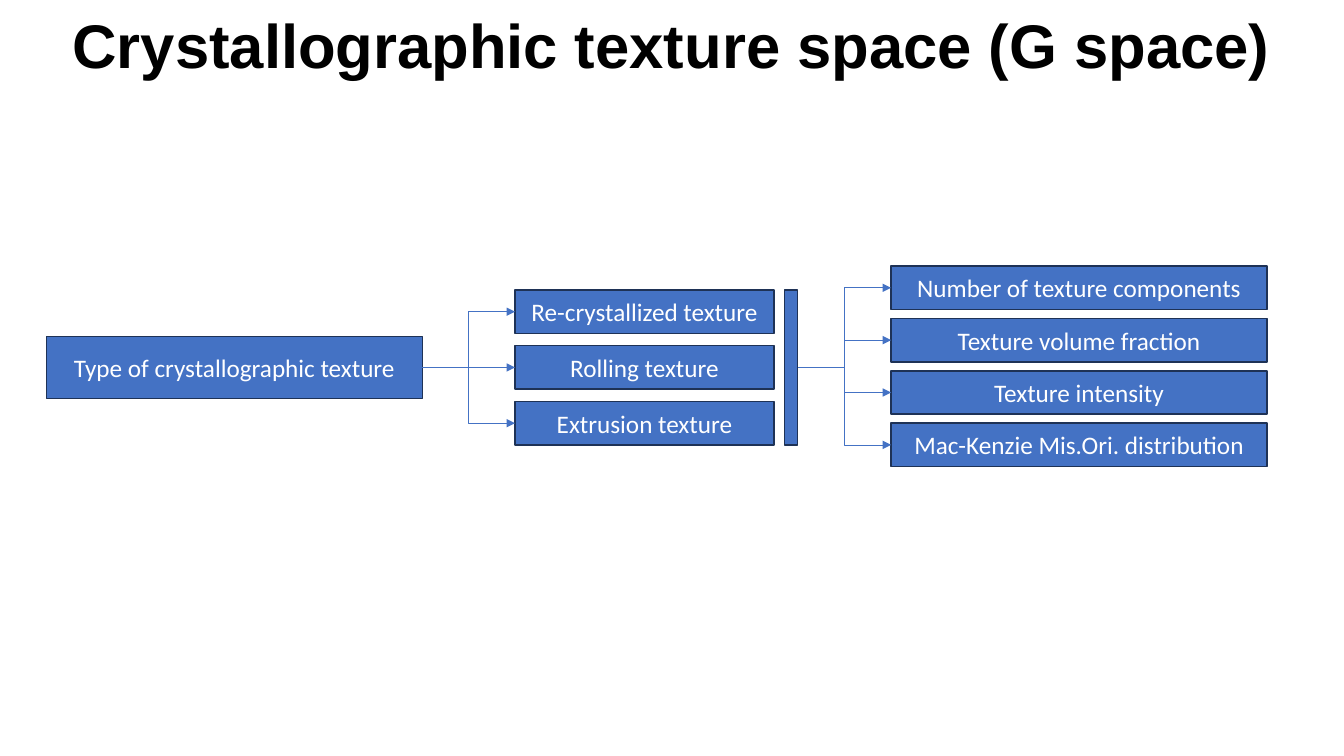
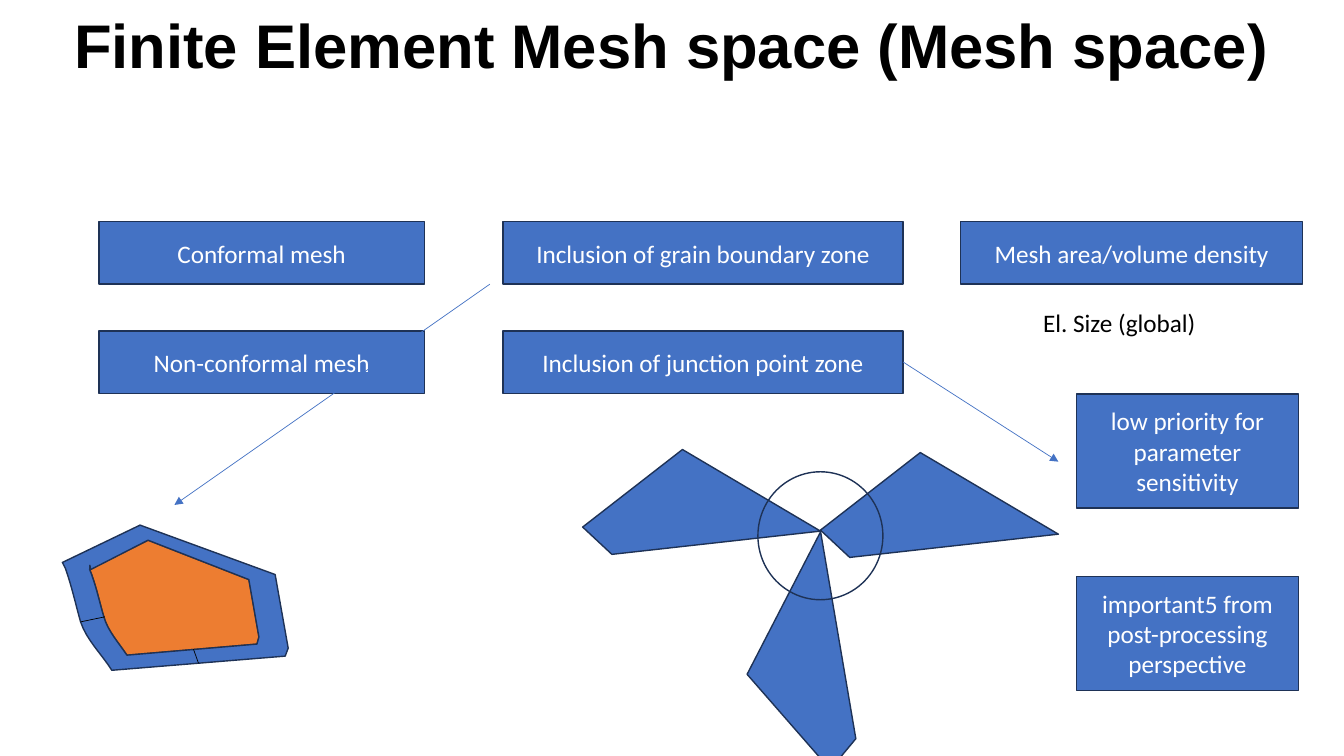
from dataclasses import dataclass
from typing import NamedTuple

from lxml.etree import SubElement
from pptx import Presentation
from pptx.dml.color import RGBColor
from pptx.enum.shapes import MSO_CONNECTOR, MSO_SHAPE
from pptx.enum.text import MSO_ANCHOR, MSO_AUTO_SIZE, PP_ALIGN
from pptx.oxml.ns import qn
from pptx.util import Pt


@dataclass(frozen=True)
class Theme:
    blue: str = "4472C4"
    navy: str = "1E3256"
    orange: str = "ED7D31"
    brown: str = "683715"
    white: str = "FFFFFF"
    black: str = "000000"
    head: str = "Arial"
    body: str = "Calibri"
    big: float = 44
    text: float = 18
    edge: float = 1
    thin: float = 0.5


THEME = Theme()


class Spot(NamedTuple):
    x: float
    y: float


@dataclass(frozen=True)
class Box:
    x: float
    y: float
    w: float
    h: float
    text: str = ""

    @property
    def left(self) -> Spot:
        return Spot(self.x, self.y + self.h / 2)

    @property
    def right(self) -> Spot:
        return Spot(self.x + self.w, self.y + self.h / 2)

    @property
    def frame(self) -> tuple:
        return Pt(self.x), Pt(self.y), Pt(self.w), Pt(self.h)


# Shared drawing tools
def write(frame, text: str, tint: str, size: float = THEME.text,
          face: str = THEME.body, align=PP_ALIGN.CENTER):
    frame.word_wrap = True
    frame.text = text
    para = frame.paragraphs[0]
    para.alignment = align
    para.font.size = Pt(size)
    para.font.name = face
    para.font.color.rgb = RGBColor.from_string(tint)
    return para


def paint(shape, fill: str | None, edge: str) -> None:
    shape.shadow.inherit = False
    if fill:
        shape.fill.solid()
        shape.fill.fore_color.rgb = RGBColor.from_string(fill)
    else:
        shape.fill.background()
    shape.line.color.rgb = RGBColor.from_string(edge)
    shape.line.width = Pt(THEME.edge)


def add_page(deck, title: str):
    page = deck.slides.add_slide(deck.slide_layouts[5])
    head = page.shapes.title
    head.left, head.top, head.width, head.height = Box(0, 9.4, 960, 50.4).frame
    head.text_frame.vertical_anchor = MSO_ANCHOR.MIDDLE
    para = write(head.text_frame, title, THEME.black, THEME.big, THEME.head)
    para.font.bold = True
    para.line_spacing = 0.9
    return page


def add_box(page, box: Box) -> None:
    shape = page.shapes.add_shape(MSO_SHAPE.RECTANGLE, *box.frame)
    paint(shape, THEME.blue, THEME.navy)
    if box.text:
        shape.text_frame.vertical_anchor = MSO_ANCHOR.MIDDLE
        write(shape.text_frame, box.text, THEME.white)


def add_link(page, start: Spot, end: Spot, bent: bool = False,
             arrow: bool = True, tint: str = THEME.blue) -> None:
    kind = MSO_CONNECTOR.ELBOW if bent else MSO_CONNECTOR.STRAIGHT
    link = page.shapes.add_connector(kind, *map(Pt, (*start, *end)))
    link.line.color.rgb = RGBColor.from_string(tint)
    link.line.width = Pt(THEME.thin)
    props = link._element.spPr
    if arrow:
        SubElement(props.find(qn("a:ln")), qn("a:tailEnd"), type="triangle")
    SubElement(props, qn("a:effectLst"))


def add_shape(page, loops: list[list], fill: str, edge: str):
    """Draw closed outlines as one shape; a second loop cuts a hole."""
    first, *rest = [[(Pt(x), Pt(y)) for x, y in loop] for loop in loops]
    pen = page.shapes.build_freeform(*first[0], scale=1.0)
    pen.add_line_segments(first[1:], close=True)
    for loop in rest:
        pen.move_to(*loop[0])
        pen.add_line_segments(loop[1:], close=True)
    shape = pen.convert_to_shape()
    paint(shape, fill, edge)
    return shape


def curve(*knots: tuple, steps: int = 8) -> list[Spot]:
    """Points along a cubic curve with four control points."""
    def blend(t: float, axis: int) -> float:
        a, b, c, d = (knot[axis] for knot in knots)
        u = 1 - t
        return a * u**3 + 3 * b * u * u * t + 3 * c * u * t * t + d * t**3
    return [Spot(blend(i / steps, 0), blend(i / steps, 1))
            for i in range(steps + 1)]


def stack(x: float, y: float, w: float, h: float, step: float,
          names: list[str]) -> list[Box]:
    return [Box(x, y + i * step, w, h, name) for i, name in enumerate(names)]


# Slide 1: tree of texture types and measures
def draw_tree(deck) -> None:
    page = add_page(deck, "Crystallographic texture space (G space)")
    root = Box(33.1, 240.2, 268.6, 44.6, "Type of crystallographic texture")
    kinds = stack(367.9, 207.2, 185, 31, 39.8, [
        "Re-crystallized texture", "Rolling texture", "Extrusion texture"])
    traits = stack(636.5, 190.1, 268.6, 31, 37.4, [
        "Number of texture components", "Texture volume fraction",
        "Texture intensity", "Mac-Kenzie Mis.Ori. distribution"])
    top, last = kinds[0], kinds[-1]
    bar = Box(560.2, top.y, 9.7, last.y + last.h - top.y)
    for box in (root, *kinds, bar, *traits):
        add_box(page, box)
    for hub, group in ((root, kinds), (bar, traits)):
        for box in group:
            level = abs(hub.right.y - box.left.y) < 0.1
            add_link(page, hub.right, box.left, bent=not level)


# Slide 2: mesh choices with grain sketches
def draw_mesh(deck) -> None:
    page = add_page(deck, "Finite Element Mesh space (Mesh space)")
    row, step, high = 158.4, 77.9, 44.6
    forms = stack(70.6, row, 232.6, high, step,
                  ["Conformal mesh", "Non-conformal mesh"])
    zones = stack(359.3, row, 285.8, high, step,
                  ["Inclusion of grain boundary zone",
                   "Inclusion of junction point zone"])
    dense = stack(686.2, row, 244.1, high, step, ["Mesh area/volume density"])
    notes = stack(769, 281.5, 158.4, 81.4, 130.3,
                  ["low priority for parameter sensitivity",
                   "important5 from post-processing perspective"])
    for box in (*forms, *zones, *dense, *notes):
        add_box(page, box)
    label = page.shapes.add_textbox(*Box(738, 216, 167.8, 28.8).frame)
    write(label.text_frame, "El. Size (global)", THEME.black,
          align=PP_ALIGN.LEFT)
    label.text_frame.auto_size = MSO_AUTO_SIZE.SHAPE_TO_FIT_TEXT
    add_link(page, Spot(349.9, 203), Spot(124.6, 360.7))
    add_link(page, zones[1].right, Spot(756, 329.8))

    # Grain and the boundary ring around it
    grain = [(105.8, 385.9), (177.8, 414), (185, 455), (183.6, 460.1),
             *curve((90.7, 468), (85, 459.4), (77, 450.7), (74.2, 440.6)),
             *curve((74.2, 440.6), (71.3, 430.6), (69.1, 420.5),
                    (65.5, 410.4)),
             (64.1, 406.8)]
    rim = [(100.1, 375.1), (196.6, 410.4), (205.9, 463), (203.8, 468.7),
           *curve((79.9, 478.8), (72.7, 467.3), (61.9, 457.2), (57.6, 444.2)),
           *curve((57.6, 444.2), (54, 431.3), (51.1, 418.3), (46.8, 406.1)),
           (44.6, 401.8)]
    hole = [*grain, (64.3, 403.8), (64.8, 406.9)]
    add_shape(page, [grain], THEME.orange, THEME.brown)
    add_shape(page, [rim, hole], THEME.blue, THEME.navy)
    for start, end in ((Spot(57.6, 444.2), Spot(74.9, 440.6)),
                       (Spot(138.2, 463.7), Spot(141.8, 473.8))):
        add_link(page, start, end, arrow=False, tint=THEME.black)

    # Three grains that meet at a junction
    blade = [(0, 55.4), (71.3, 0), (169.9, 58.3), (20.9, 74.9)]
    for x, y, turn in ((416.2, 321.1, 0), (586.1, 323.3, 0),
                       (485.3, 428.4, 266.7)):
        loop = [(x + dx, y + dy) for dx, dy in blade]
        add_shape(page, [loop], THEME.blue, THEME.navy).rotation = turn
    ring = page.shapes.add_shape(MSO_SHAPE.OVAL,
                                 *Box(541.4, 337, 89.3, 91.4).frame)
    paint(ring, None, THEME.navy)


def main() -> None:
    deck = Presentation()
    deck.slide_width, deck.slide_height = Pt(960), Pt(540)
    draw_tree(deck)
    draw_mesh(deck)
    deck.save("out.pptx")


if __name__ == "__main__":
    main()
